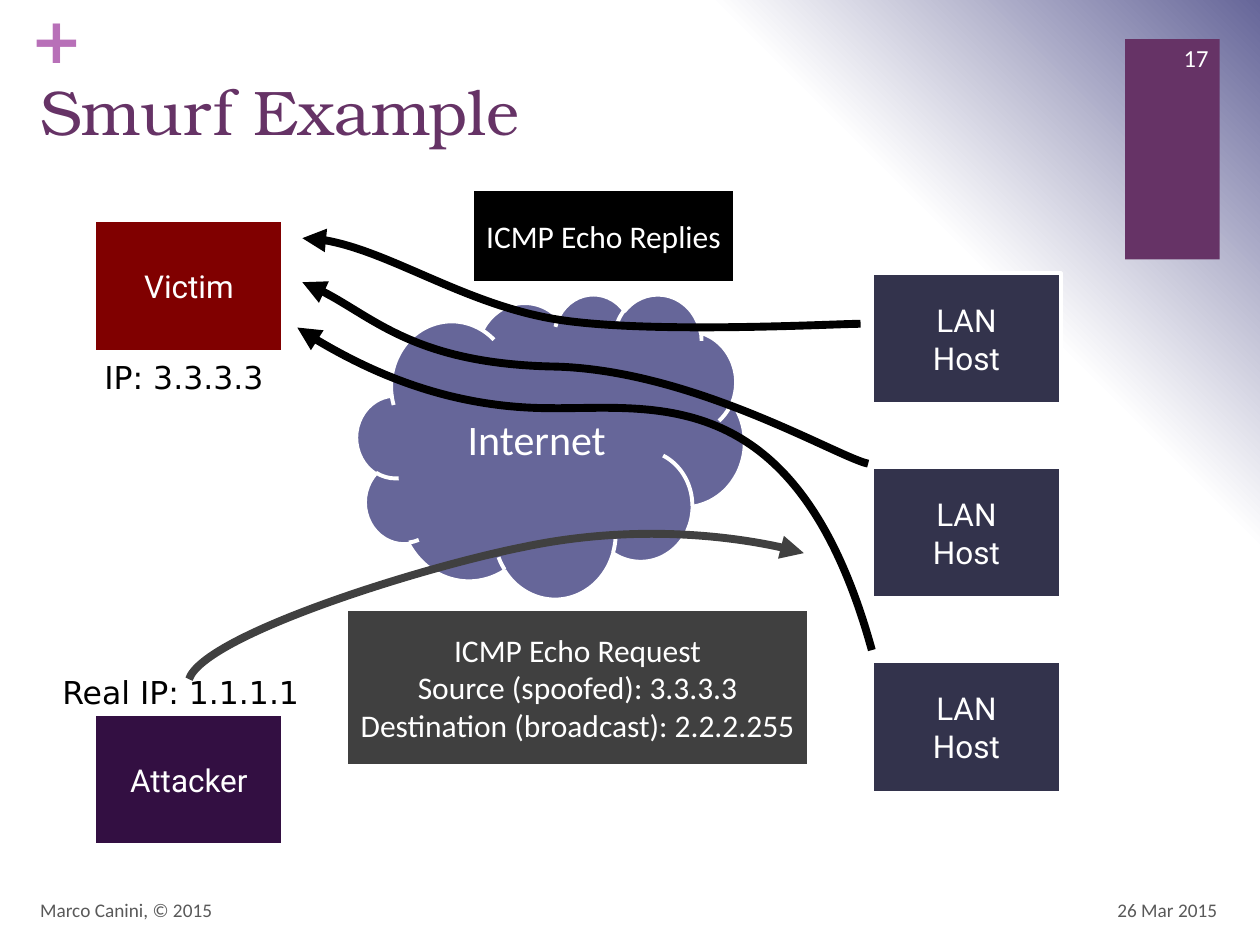
"""Build the Smurf attack example slide."""

from pptx import Presentation
from pptx.dml.color import RGBColor
from pptx.enum.shapes import MSO_SHAPE
from pptx.enum.text import MSO_ANCHOR, MSO_AUTO_SIZE, PP_ALIGN
from pptx.oxml import parse_xml
from pptx.oxml.ns import nsdecls, qn
from pptx.util import Inches, Pt

COLOURS = {
    "white": "FFFFFF",
    "black": "000000",
    "plum": "663366",
    "orchid": "B870B8",
    "attacker": "330F42",
    "cloud": "666699",
    "host": "33334C",
    "victim": "800000",
    "request": "404040",
    "footer": "595959",
}


def colour(name):
    """Return a named colour."""
    return RGBColor.from_string(COLOURS[name])


def set_background(page):
    """Fill the page with a circular gradient from the bottom left corner."""
    stops = [(0, "white"), (75, "white"), (100, "cloud")]
    stop_xml = "".join(
        f'<a:gs pos="{pos * 1000}"><a:srgbClr val="{COLOURS[name]}"/></a:gs>'
        for pos, name in stops
    )
    page.element.cSld.insert(0, parse_xml(
        f'<p:bg {nsdecls("p", "a")}><p:bgPr><a:gradFill rotWithShape="1">'
        f'<a:gsLst>{stop_xml}</a:gsLst><a:path path="circle">'
        '<a:fillToRect t="100000" r="100000"/></a:path></a:gradFill>'
        '<a:effectLst/></p:bgPr></p:bg>'
    ))


def write(frame, paragraphs, size, font, ink, align):
    """Write paragraphs, each a list of lines, into a text frame."""
    for index, lines in enumerate(paragraphs):
        para = frame.paragraphs[0] if index == 0 else frame.add_paragraph()
        para.alignment = align
        for number, line in enumerate(lines):
            if number:
                para.add_line_break()
            span = para.add_run()
            span.text = line
            span.font.size = Pt(size)
            span.font.name = font
            span.font.color.rgb = colour(ink)


def add_block(page, place, fill, paragraphs=(), font="Roboto", size=18,
              preset=MSO_SHAPE.RECTANGLE, outlined=True):
    """Add a filled shape with centred white text."""
    block = page.shapes.add_shape(preset, *map(Inches, place))
    block.shadow.inherit = False
    block.fill.solid()
    block.fill.fore_color.rgb = colour(fill)
    if outlined:
        block.line.color.rgb = colour("white")
        block.line.width = Pt(2.25)
    else:
        block.line.fill.background()
    block.text_frame.vertical_anchor = MSO_ANCHOR.MIDDLE
    write(block.text_frame, paragraphs, size, font, "white", PP_ALIGN.CENTER)


def add_text(page, place, text, size, font, ink, align=PP_ALIGN.LEFT,
             anchor=MSO_ANCHOR.TOP, wrap=True):
    """Add a one-line text box and return its frame."""
    frame = page.shapes.add_textbox(*map(Inches, place)).text_frame
    frame.word_wrap = wrap
    frame.vertical_anchor = anchor
    write(frame, [[text]], size, font, ink, align)
    return frame


def add_label(page, place, text):
    """Add a centred address label that fits its text."""
    frame = add_text(page, place, text, 18, "DejaVu Sans", "black",
                     PP_ALIGN.CENTER, wrap=False)
    frame.auto_size = MSO_AUTO_SIZE.SHAPE_TO_FIT_TEXT


def add_curve(page, points, ink):
    """Add an arrow through cubic segments: a start, then triples of points."""
    spots = [(Inches(x), Inches(y)) for x, y in points]
    anchors = spots[::3]
    builder = page.shapes.build_freeform(*anchors[0])
    builder.add_line_segments(anchors[1:], close=False)
    curve = builder.convert_to_shape()
    left, top = (min(axis) for axis in zip(*anchors))
    for index, segment in enumerate(list(curve.element.iter(qn("a:lnTo")))):
        triple = spots[3 * index + 1:3 * index + 4]
        marks = "".join(f'<a:pt x="{x - left}" y="{y - top}"/>' for x, y in triple)
        segment.getparent().replace(segment, parse_xml(
            f'<a:cubicBezTo {nsdecls("a")}>{marks}</a:cubicBezTo>'
        ))
    curve.shadow.inherit = False
    curve.fill.background()
    curve.line.color.rgb = colour(ink)
    curve.line.width = Pt(4.5)
    curve.element.spPr.find(qn("a:ln")).append(
        parse_xml(f'<a:tailEnd {nsdecls("a")} type="triangle"/>')
    )


def add_header(page):
    """Add the corner bar, plus sign and title."""
    add_block(page, (8.93, 0.31, 0.75, 1.75), "plum", outlined=False)
    plus = add_text(page, (0.24, 0, 0.29, 0.61), "+", 36, "DejaVu Sans", "orchid")
    plus.margin_left = plus.margin_right = plus.margin_top = plus.margin_bottom = 0
    plus.paragraphs[0].runs[0].font.bold = True
    add_text(page, (0.22, 0.53, 8.59, 1.22), "Smurf Example", 36,
             "TeX Gyre Bonum", "plum")


def add_network(page):
    """Add the machines, the cloud and the traffic between them."""
    add_block(page, (0.75, 5.67, 1.5, 1.04), "attacker", [["Attacker"]])
    add_block(page, (2.83, 2.33, 3.08, 2.42), "cloud", [["Internet"]],
              "Calibri", 24, MSO_SHAPE.CLOUD)
    add_block(page, (0.75, 1.75, 1.5, 1.04), "victim", [["Victim"]])
    for row in range(3):
        add_block(page, (6.92, 2.17 + 1.54 * row, 1.5, 1.04), "host",
                  [["LAN"], ["Host"]])

    replies = [
        [(6.83, 2.57), (6.63, 2.57), (5.19, 2.65), (4.45, 2.54),
         (3.71, 2.43), (2.95, 1.89), (2.4, 1.89)],
        [(6.89, 3.68), (6.65, 3.63), (5.51, 2.94), (4.41, 2.91),
         (3.3, 2.89), (2.86, 2.42), (2.4, 2.24)],
        [(6.92, 5.16), (6.33, 3.02), (5.19, 3.25), (4.37, 3.24),
         (3.54, 3.24), (2.72, 2.85), (2.36, 2.6)],
    ]
    request = [(1.5, 5.39), (1.62, 5.04), (3.35, 4.5), (4.16, 4.34),
               (4.97, 4.17), (5.92, 4.25), (6.38, 4.39)]
    for reply in replies:
        add_curve(page, reply, "black")
    add_curve(page, request, "request")

    add_label(page, (0.33, 5.29, 2.21, 0.4), "Real IP: 1.1.1.1")
    add_label(page, (0.67, 2.79, 1.58, 0.4), "IP: 3.3.3.3")
    add_block(page, (2.75, 4.83, 3.67, 1.25), "request",
              [["ICMP Echo Request", "Source (spoofed): 3.3.3.3",
                "Destination (broadcast): 2.2.2.255"]], "Calibri")
    add_block(page, (3.75, 1.5, 2.08, 0.75), "black",
              [["ICMP Echo Replies"]], "Calibri")


def add_footer(page):
    """Add the date, author and page number."""
    notes = [
        ((7.43, 7.02, 2.33, 0.4), "26 Mar 2015", 11, "footer", PP_ALIGN.RIGHT),
        ((0.22, 7.02, 6.7, 0.4), "Marco Canini, © 2015", 11, "footer", PP_ALIGN.LEFT),
        ((9.08, 0.26, 0.61, 0.4), "17", 14, "white", PP_ALIGN.RIGHT),
    ]
    for place, text, size, ink, align in notes:
        add_text(page, place, text, size, "Calibri", ink, align, MSO_ANCHOR.MIDDLE)


def main():
    """Build and save the deck."""
    deck = Presentation()
    deck.slide_width, deck.slide_height = Inches(10), Inches(7.5)
    page = deck.slides.add_slide(deck.slide_layouts[6])
    set_background(page)
    add_header(page)
    add_network(page)
    add_footer(page)
    deck.save("out.pptx")


if __name__ == "__main__":
    main()
